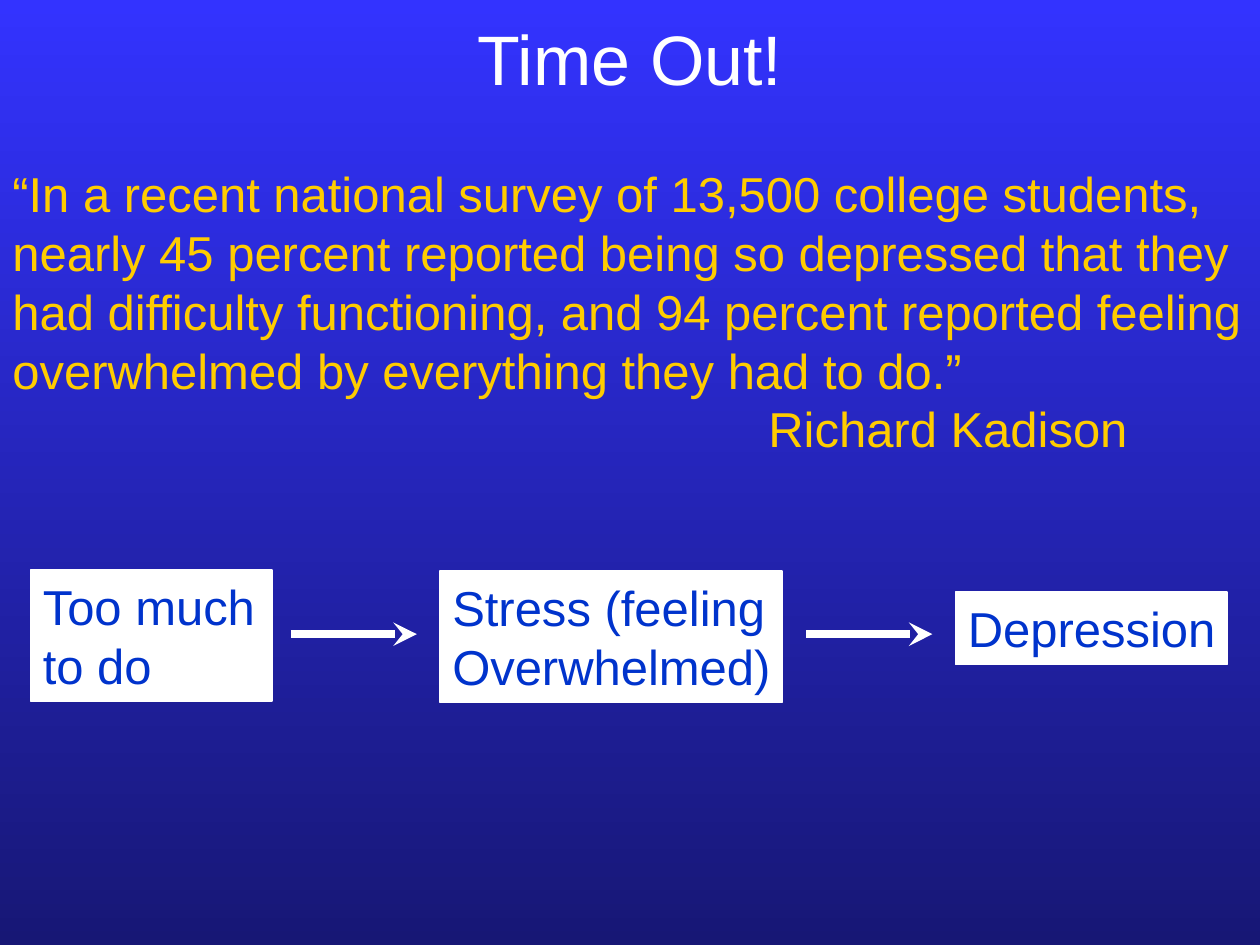
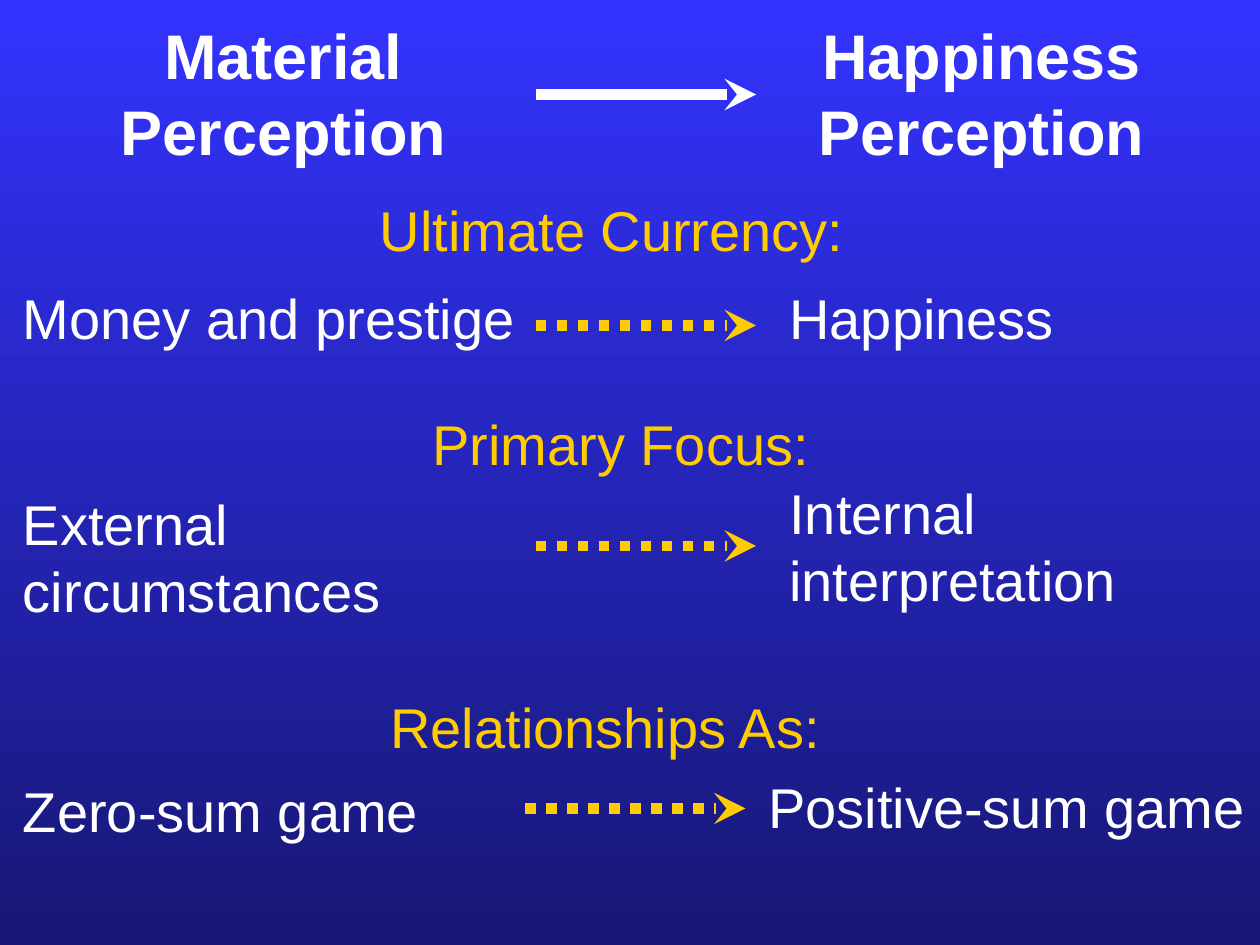
from lxml import etree
from pptx import Presentation
from pptx.dml.color import RGBColor
from pptx.enum.dml import MSO_LINE
from pptx.enum.shapes import MSO_CONNECTOR, MSO_SHAPE
from pptx.enum.text import MSO_ANCHOR, MSO_AUTO_SIZE, PP_ALIGN
from pptx.oxml.ns import qn
from pptx.util import Inches, Pt

STRAIGHT, RECTANGLE, DOTTED = MSO_CONNECTOR.STRAIGHT, MSO_SHAPE.RECTANGLE, MSO_LINE.ROUND_DOT
TOP, MIDDLE = MSO_ANCHOR.TOP, MSO_ANCHOR.MIDDLE
LEFT, CENTER = PP_ALIGN.LEFT, PP_ALIGN.CENTER

WIDTH, HEIGHT = Inches(10), Inches(7.5)
COLUMNS, ROWS = 120, 90
TITLE_ONLY, BLANK = 5, 6
FONT = "Arial"
COLORS = {
    "sky": "3333FF",
    "night": "171775",
    "white": "FFFFFF",
    "gold": "FFCC00",
    "blue": "0033CC",
}


def rgb(name):
    return RGBColor.from_string(COLORS[name])


def across(columns):
    return round(WIDTH * columns / COLUMNS)


def down(rows):
    return round(HEIGHT * rows / ROWS)


def place(box):
    """Turn (column, row, columns, rows) into slide lengths."""
    left, top, width, height = box
    return across(left), down(top), across(width), down(height)


def write(frame, lines, size, color, align=LEFT, bold=False, anchor=TOP, wrap=True):
    frame.word_wrap = wrap
    frame.auto_size = MSO_AUTO_SIZE.NONE
    frame.vertical_anchor = anchor
    for index, line in enumerate(lines):
        para = frame.paragraphs[0] if index == 0 else frame.add_paragraph()
        para.alignment = align
        span = para.add_run()
        span.text = line
        span.font.name, span.font.size, span.font.bold = FONT, Pt(size), bold
        span.font.color.rgb = rgb(color)


def add_text(page, box, lines, size, color, **style):
    frame = page.shapes.add_textbox(*place(box)).text_frame
    write(frame, lines, size, color, **style)
    return frame


def add_arrow(page, start, row, length, color, weight, dash=None):
    y = down(row)
    arrow = page.shapes.add_connector(STRAIGHT, across(start), y, across(start + length), y)
    arrow.line.color.rgb = rgb(color)
    arrow.line.width = Pt(weight)
    if dash:
        arrow.line.dash_style = dash
    properties = arrow._element.spPr
    etree.SubElement(properties.find(qn("a:ln")), qn("a:tailEnd"), type="stealth")
    etree.SubElement(properties, qn("a:effectLst"))


def paint_background(deck):
    fill = deck.slide_master.background.fill
    fill.gradient()
    fill.gradient_angle = 270
    for stop, color in zip(fill.gradient_stops, ("sky", "night")):
        stop.color.rgb = rgb(color)


def add_title(page, box, text):
    title = page.shapes.title
    title.left, title.top, title.width, title.height = place(box)
    write(title.text_frame, [text], 40, "white", align=CENTER, anchor=MIDDLE)


def add_quote(page, box, quote, author):
    frame = add_text(page, box, [quote, author], 28, "gold")
    author_indent = across(box[2] * 0.6)
    properties = frame.paragraphs[1]._p.get_or_add_pPr()
    properties.set("marL", str(author_indent))


def add_stress_chain(page, box):
    left, top = box[:2]
    steps = [
        ((0, 0, 23, 12.5), ["Too much", "to do"]),
        ((39, 0.1, 32.6, 12.5), ["Stress (feeling", "Overwhelmed)"]),
        ((88.1, 2.1, 25.9, 6.9), ["Depression"]),
    ]
    for (column, row, width, height), lines in steps:
        step = page.shapes.add_shape(
            RECTANGLE, *place((left + column, top + row, width, height)))
        step.shadow.inherit = False
        step.fill.solid()
        step.fill.fore_color.rgb = rgb("white")
        step.line.color.rgb = rgb("white")
        step.line.width = Pt(1)
        write(step.text_frame, lines, 28, "blue", wrap=False)
    for column in (24.8, 73.9):
        add_arrow(page, left + column, top + 6.1, 12, "white", 4.5)


def add_perception_header(page, box):
    left, top, width, height = box
    for column, columns, text in ((5, 44, "Material Perception"),
                                  (67, width - 67, "Happiness Perception")):
        add_text(page, (left + column, top, columns, height), [text], 36, "white",
                 align=CENTER, bold=True)
    add_arrow(page, left + 51, top + 8, 21, "white", 6)


def add_comparison(page, box, heading, before, after, arrow):
    """Each part is its column and row within the box, with its text if any."""
    left, top, width, height = box
    for (column, row, text), columns, color in (
            (heading, 51, "gold"), (before, 51, "white"),
            (after, width - after[0], "white")):
        rows = 7.5 if text == heading[2] else height - row
        add_text(page, (left + column, top + row, columns, rows), [text], 32, color)
    column, row = arrow
    add_arrow(page, left + column, top + row, 21, "gold", 6, DOTTED)


def build_time_out(deck):
    page = deck.slides.add_slide(deck.slide_layouts[TITLE_ONLY])
    add_title(page, (9, 1, 102, 9), "Time Out!")
    add_quote(
        page, (0, 15, COLUMNS, 29.3),
        "“In a recent national survey of 13,500 college students, nearly 45 percent "
        "reported being so depressed that they had difficulty functioning, and 94 percent "
        "reported feeling overwhelmed by everything they had to do.”",
        "Richard Kadison")
    add_stress_chain(page, (2.9, 54.3, 114, 12.6))


def build_perceptions(deck):
    page = deck.slides.add_slide(deck.slide_layouts[BLANK])
    add_perception_header(page, (0, 1, COLUMNS, 15.6))
    add_comparison(page, (0, 18, COLUMNS, 16), (35, 0, "Ultimate Currency:"),
                   (1, 8.4, "Money and prestige"), (74, 8.4, "Happiness"), (51, 13))
    add_comparison(page, (0, 38.4, COLUMNS, 21.6), (40, 0, "Primary Focus:"),
                   (1, 7.6, "External circumstances"),
                   (74, 6.6, "Internal interpretation"), (51, 13.6))
    add_comparison(page, (0, 65.4, COLUMNS, 15.6), (36, 0, "Relationships As:"),
                   (1, 8, "Zero-sum game"), (72, 7.6, "Positive-sum game"), (50, 11.6))


def main():
    deck = Presentation()
    deck.slide_width, deck.slide_height = WIDTH, HEIGHT
    paint_background(deck)
    build_time_out(deck)
    build_perceptions(deck)
    deck.save("out.pptx")


if __name__ == "__main__":
    main()
